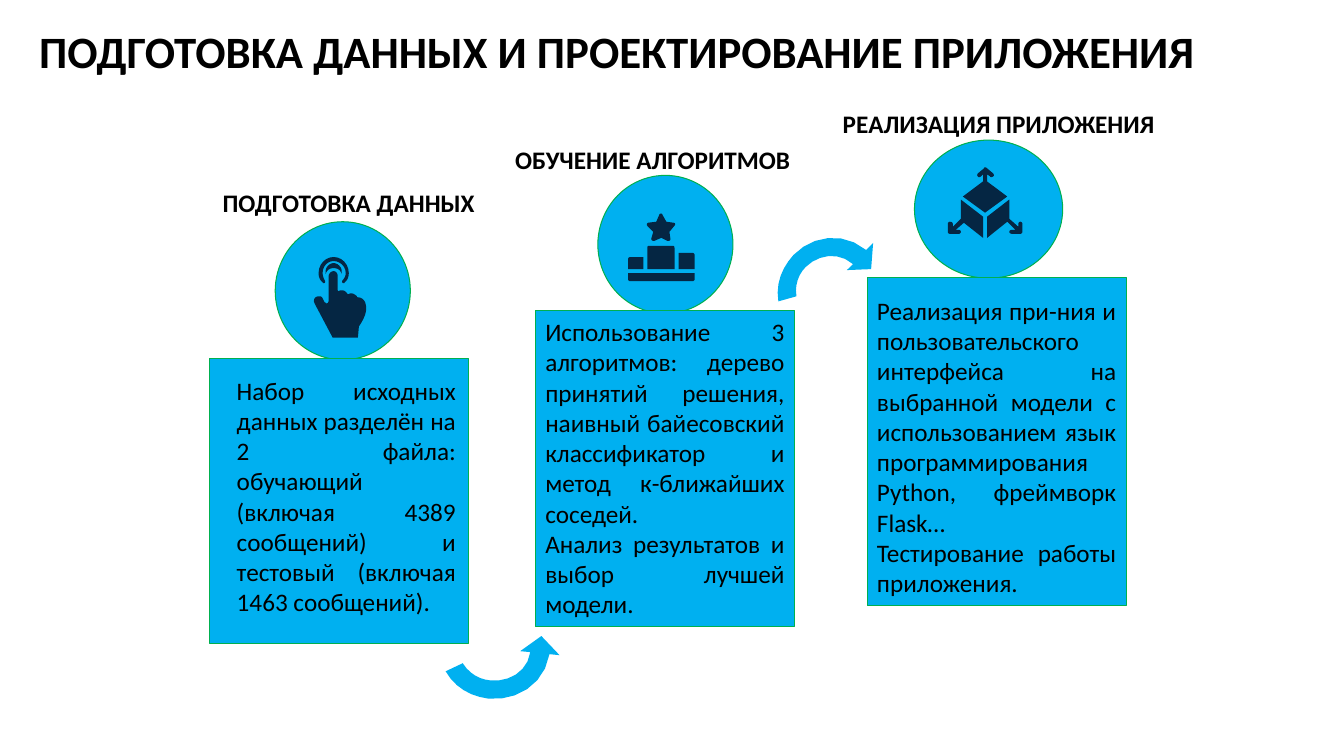
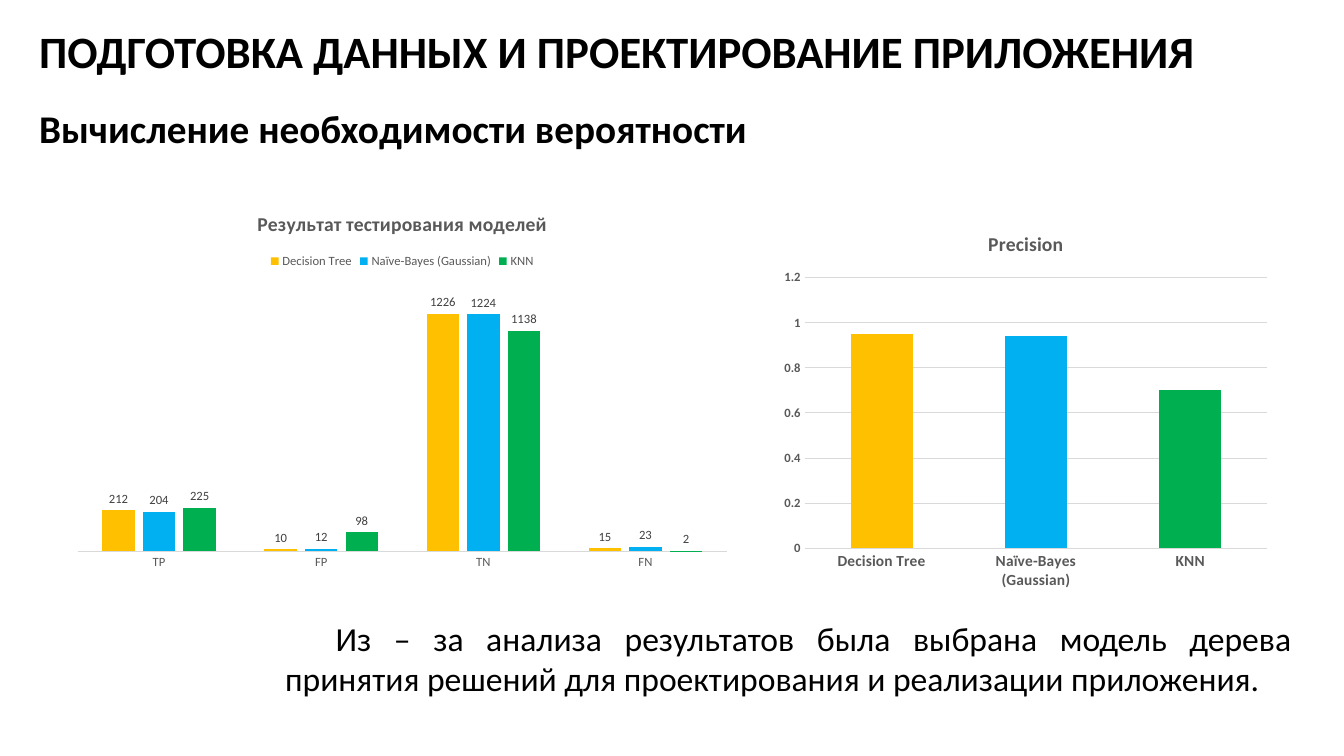
from dataclasses import dataclass

from pptx import Presentation
from pptx.chart.data import CategoryChartData
from pptx.dml.color import RGBColor
from pptx.enum.chart import XL_CHART_TYPE as Kind, XL_LABEL_POSITION as Spot
from pptx.enum.chart import XL_LEGEND_POSITION as Side, XL_TICK_MARK as Tick
from pptx.enum.shapes import MSO_SHAPE as Form
from pptx.enum.text import MSO_AUTO_SIZE as Fit, PP_ALIGN as Align
from pptx.util import Inches, Pt


@dataclass(frozen=True)
class Theme:
    font: str = "Calibri"
    black: str = "000000"
    blue: str = "00B0F0"
    green: str = "00B050"
    gold: str = "FFC000"
    navy: str = "052643"
    gray: str = "595959"
    dark: str = "404040"
    pale: str = "D9D9D9"
    title: int = 32
    sub: int = 28
    note: int = 24
    body: int = 18
    head: int = 14
    axis: int = 11
    small: int = 9


T = Theme()
TITLE = "ПОДГОТОВКА ДАННЫХ И ПРОЕКТИРОВАНИЕ ПРИЛОЖЕНИЯ"
MODELS = ["Decision Tree", "Naïve-Bayes (Gaussian)", "KNN"]
HUES = [T.gold, T.blue, T.green]

# Outlines in inches: two numbers end a line, six make a curve.
HAND = [
    "3.31 2.55, 3.23 2.55 3.16 2.62 3.16 2.71, 3.16 2.74 3.17 2.78 3.2 2.8,"
    "3.2 2.81 3.21 2.81 3.21 2.81, 3.23 2.81 3.23 2.79 3.22 2.78,"
    "3.21 2.76 3.2 2.73 3.2 2.71, 3.2 2.64 3.25 2.59 3.31 2.59,"
    "3.37 2.59 3.43 2.64 3.43 2.71, 3.43 2.73 3.42 2.76 3.4 2.78,"
    "3.39 2.79 3.39 2.81 3.41 2.81, 3.41 2.81 3.42 2.81 3.42 2.8,"
    "3.45 2.78 3.46 2.74 3.46 2.71, 3.46 2.62 3.39 2.55 3.31 2.55",
    "3.31 2.61, 3.27 2.61 3.23 2.65 3.23 2.69, 3.23 2.7 3.23 2.71 3.23 2.72,"
    "3.24 2.68 3.27 2.66 3.31 2.66, 3.35 2.66 3.38 2.68 3.39 2.72,"
    "3.39 2.71 3.39 2.7 3.39 2.69, 3.39 2.65 3.35 2.61 3.31 2.61",
    "3.31 2.69, 3.29 2.69 3.26 2.71 3.26 2.74, 3.26 2.98,"
    "3.26 3 3.25 3.01 3.24 3.01, 3.23 3.01 3.23 3 3.22 3, 3.2 2.96,"
    "3.19 2.94 3.18 2.94 3.16 2.94, 3.13 2.94 3.1 2.97 3.12 3.01, 3.3 3.35,"
    "3.55 3.35, 3.56 3.24, 3.62 3.15 3.64 3.09 3.63 3.03,"
    "3.62 2.96 3.57 2.95 3.55 2.95, 3.55 2.95 3.54 2.95 3.54 2.94,"
    "3.52 2.92 3.5 2.91 3.48 2.91, 3.47 2.91 3.46 2.92 3.45 2.92,"
    "3.43 2.89 3.41 2.88 3.39 2.88, 3.38 2.88 3.37 2.88 3.36 2.89,"
    "3.35 2.88, 3.35 2.74, 3.35 2.71 3.33 2.69 3.31 2.69",
]
PODIUM = [
    "6.56 2.12, 6.55 2.12 6.54 2.12 6.54 2.13, 6.51 2.2, 6.43 2.21,"
    "6.42 2.21 6.41 2.23 6.42 2.24, 6.48 2.3, 6.46 2.37,"
    "6.46 2.39 6.48 2.39 6.49 2.39, 6.56 2.36, 6.62 2.39,"
    "6.64 2.39 6.65 2.39 6.65 2.37, 6.64 2.3, 6.69 2.24,"
    "6.7 2.23 6.7 2.21 6.68 2.21, 6.61 2.2, 6.57 2.13,"
    "6.57 2.12 6.56 2.12 6.56 2.12",
    "6.73 2.51, 6.73 2.67, 6.89 2.67, 6.89 2.53, 6.89 2.52 6.88 2.51 6.87 2.51",
    "6.44 2.44, 6.43 2.44 6.42 2.44 6.42 2.46, 6.42 2.67, 6.69 2.67, 6.69 2.46,"
    "6.69 2.44 6.68 2.44 6.67 2.44",
    "6.23 2.71, 6.23 2.77, 6.23 2.78 6.24 2.79 6.25 2.79, 6.87 2.79,"
    "6.88 2.79 6.89 2.78 6.89 2.77, 6.89 2.71",
    "6.25 2.55, 6.24 2.55 6.23 2.56 6.23 2.57, 6.23 2.67, 6.38 2.67, 6.38 2.55",
]
CUBE = [
    "10.01 1.98, 9.79 2.15, 9.79 2.36, 9.99 2.2, 10.07 2.28, 10.04 2.28,"
    "10.02 2.28 10.01 2.29 10.01 2.3, 10.01 2.31 10.02 2.32 10.04 2.32,"
    "10.12 2.32, 10.13 2.32 10.14 2.31 10.14 2.3, 10.14 2.22,"
    "10.14 2.21 10.13 2.2 10.12 2.2, 10.11 2.2 10.1 2.21 10.1 2.22,"
    "10.1 2.25, 10.01 2.17",
    "9.53 1.98, 9.53 2.17, 9.45 2.25, 9.45 2.22, 9.45 2.21 9.44 2.2 9.42 2.2,"
    "9.41 2.2 9.4 2.21 9.4 2.22, 9.4 2.3, 9.4 2.31 9.41 2.32 9.42 2.32,"
    "9.51 2.32, 9.52 2.32 9.53 2.31 9.53 2.3, 9.53 2.29 9.52 2.28 9.51 2.28,"
    "9.48 2.28, 9.56 2.21, 9.75 2.36, 9.75 2.15",
    "9.77 1.66, 9.77 1.66 9.76 1.66 9.76 1.67, 9.7 1.72,"
    "9.69 1.73 9.69 1.75 9.7 1.75, 9.7 1.76 9.72 1.76 9.73 1.75, 9.75 1.73,"
    "9.75 1.8, 9.55 1.95, 9.77 2.11, 9.99 1.95, 9.79 1.8, 9.79 1.73, 9.82 1.75,"
    "9.82 1.76 9.84 1.76 9.85 1.75, 9.86 1.75 9.86 1.73 9.85 1.72, 9.79 1.67,"
    "9.78 1.66 9.78 1.66 9.77 1.66",
]
ARROWS = [
    "4.84 6.93, 4.67 6.91 4.51 6.82 4.42 6.66, 4.59 6.58,"
    "4.66 6.69 4.76 6.74 4.86 6.75, 5.04 6.77 5.23 6.67 5.26 6.47, 5.16 6.46,"
    "5.37 6.31, 5.55 6.5, 5.45 6.49, 5.4 6.8 5.11 6.96 4.84 6.93",
    "7.87 2.53, 7.76 2.65 7.69 2.81 7.72 2.99, 7.9 2.94,"
    "7.88 2.83 7.92 2.72 7.99 2.65, 8.11 2.53 8.31 2.49 8.46 2.62, 8.4 2.68,"
    "8.64 2.67, 8.66 2.41, 8.59 2.48, 8.36 2.29 8.05 2.34 7.87 2.53",
]

# Heading, its box, circle box, card box, text box, paragraphs, icon.
CARDS = [
    ("ПОДГОТОВКА ДАННЫХ", (2.11, 1.81, 2.92, 0.4), (2.73, 2.2, 1.34, 1.37),
     (2.08, 3.56, 2.57, 2.82), (2.25, 3.67, 2.37, 2.52),
     ["Набор исходных данных разделён на 2 файла: обучающий (включая 4389 "
      "сообщений) и тестовый (включая 1463 сообщений)."], HAND),
    ("ОБУЧЕНИЕ АЛГОРИТМОВ", (5.01, 1.38, 3.03, 0.4), (5.93, 1.74, 1.34, 1.37),
     (5.31, 3.08, 2.57, 3.14), (5.31, 3.09, 2.57, 3.13),
     ["Использование 3 алгоритмов: дерево принятий решения, наивный "
      "байесовский классификатор и метод к-ближайших соседей.",
      "Анализ результатов и выбор лучшей модели."], PODIUM),
    ("РЕАЛИЗАЦИЯ ПРИЛОЖЕНИЯ", (8.26, 1.03, 3.39, 0.4), (9.07, 1.39, 1.47, 1.37),
     (8.6, 2.75, 2.57, 3.26), (8.6, 2.88, 2.57, 3.13),
     ["Реализация при-ния и пользовательского интерфейса на выбранной модели "
      "с использованием язык программирования Python, фреймворк Flask…",
      "Тестирование работы приложения."], CUBE),
]


def rgb(code):
    return RGBColor.from_string(code)


def place(box):
    return [Inches(n) for n in box]


def style(font, size, hue=T.black, bold=False):
    font.name, font.size, font.bold = T.font, Pt(size), bold
    font.color.rgb = rgb(hue)


def paint(fill, hue):
    fill.solid()
    fill.fore_color.rgb = rgb(hue)


def write(slide, box, lines, size, bold=False, align=Align.LEFT):
    frame = slide.shapes.add_textbox(*place(box)).text_frame
    frame.word_wrap = True
    frame.auto_size = Fit.SHAPE_TO_FIT_TEXT
    frame.text = "\n".join(lines)
    for para in frame.paragraphs:
        para.alignment = align
        style(para.font, size, bold=bold)
    return frame.paragraphs[0]


def block(slide, form, box):
    shape = slide.shapes.add_shape(form, *place(box))
    shape.shadow.inherit = False
    paint(shape.fill, T.blue)
    shape.line.color.rgb = rgb(T.green)
    shape.line.width = Pt(0.75)


def trace(path, steps=6):
    """Turn an outline into points, with each curve cut into short lines."""
    points = []
    for part in path.split(","):
        nums = [float(n) for n in part.split()]
        pairs = list(zip(nums[::2], nums[1::2]))
        if len(pairs) == 1:
            points += pairs
            continue
        knots = list(zip(points[-1], *pairs))
        for step in range(1, steps + 1):
            t = step / steps
            u = 1 - t
            points.append(tuple(
                a * u**3 + 3 * b * u * u * t + 3 * c * u * t * t + d * t**3
                for a, b, c, d in knots))
    return [(Inches(x), Inches(y)) for x, y in points]


def outline(shapes, path, hue):
    first, *rest = trace(path)
    pen = shapes.build_freeform(*first)
    pen.add_line_segments(rest, close=True)
    shape = pen.convert_to_shape()
    shape.shadow.inherit = False
    paint(shape.fill, hue)
    shape.line.fill.background()


def card(slide, head, top, disc, body, inner, lines, icon):
    block(slide, Form.OVAL, disc)
    block(slide, Form.RECTANGLE, body)
    group = slide.shapes.add_group_shape()
    for path in icon:
        outline(group.shapes, path, T.navy)
    write(slide, top, [head], T.body, bold=True)
    write(slide, inner, lines, T.body, align=Align.JUSTIFY)


def columns(slide, box, title, cats, series):
    """Add a column chart with the look that both charts share."""
    data = CategoryChartData()
    data.categories = cats
    for name, vals in series:
        data.add_series(name, vals)
    chart = slide.shapes.add_chart(Kind.COLUMN_CLUSTERED, *place(box), data).chart
    style(chart.font, T.small, T.gray)
    chart.has_title = True
    chart.chart_title.text_frame.text = title
    style(chart.chart_title.text_frame.paragraphs[0].font, T.head, T.gray, True)
    chart.has_legend = False
    plot = chart.plots[0]
    plot.vary_by_categories = False
    plot.gap_width = 150
    for axis in (chart.category_axis, chart.value_axis):
        axis.major_tick_mark = axis.minor_tick_mark = Tick.NONE
        axis.has_major_gridlines = False
    return chart


def tests(slide):
    rows = [(212, 10, 1226, 15), (204, 12, 1224, 23), (225, 98, 1138, 2)]
    chart = columns(slide, (0.64, 1.92, 6.7, 3.81),
                    "Результат тестирования моделей",
                    ["TP", "FP", "TN", "FN"], zip(MODELS, rows))
    chart.has_legend = True
    chart.legend.position = Side.TOP
    chart.legend.include_in_layout = False
    style(chart.legend.font, T.small, T.gray)
    chart.value_axis.visible = False
    line = chart.category_axis.format.line
    line.color.rgb = rgb(T.pale)
    line.width = Pt(0.75)
    plot = chart.plots[0]
    plot.overlap = -25
    for row, hue in zip(plot.series, HUES):
        paint(row.format.fill, hue)
        row.data_labels.show_value = True
        row.data_labels.position = Spot.OUTSIDE_END
        style(row.data_labels.font, T.small, T.dark)


def scores(slide):
    chart = columns(slide, (7.68, 2.12, 4.99, 3.81), "Precision", MODELS,
                    [("Series 1", (0.95, 0.94, 0.7))])
    cat, val = chart.category_axis, chart.value_axis
    style(cat.tick_labels.font, T.axis, T.gray, True)
    style(val.tick_labels.font, T.small, T.gray, True)
    val.minimum_scale, val.maximum_scale, val.major_unit = 0, 1.2, 0.2
    val.has_major_gridlines = True
    grid = val.major_gridlines.format.line
    grid.color.rgb = rgb(T.pale)
    grid.width = Pt(0.75)
    for axis in (cat, val):
        axis.format.line.fill.background()
    bars = chart.plots[0].series[0]
    for i, hue in enumerate(HUES):
        paint(bars.points[i].format.fill, hue)


def page(deck):
    slide = deck.slides.add_slide(deck.slide_layouts[6])
    write(slide, (0.29, 0.19, 13.2, 0.64), [TITLE], T.title, bold=True)
    return slide


def main():
    deck = Presentation()
    deck.slide_width, deck.slide_height = Inches(13.33), Inches(7.5)

    slide = page(deck)
    for item in CARDS:
        card(slide, *item)
    for path in ARROWS:
        outline(slide.shapes, path, T.blue)

    slide = page(deck)
    sub = write(slide, (0.29, 0.75, 7.89, 1.28),
                ["Вычисление необходимости вероятности"],
                T.sub, bold=True, align=Align.JUSTIFY)
    sub.line_spacing = 1.5
    tests(slide)
    scores(slide)
    note = write(slide, (2.73, 6.08, 10.18, 0.91),
                 ["Из – за анализа результатов была выбрана модель дерева принятия "
                  "решений для проектирования и реализации приложения."],
                 T.note, align=Align.JUSTIFY)
    note._p.get_or_add_pPr().set("indent", str(Inches(0.5)))

    deck.save("out.pptx")


if __name__ == "__main__":
    main()
